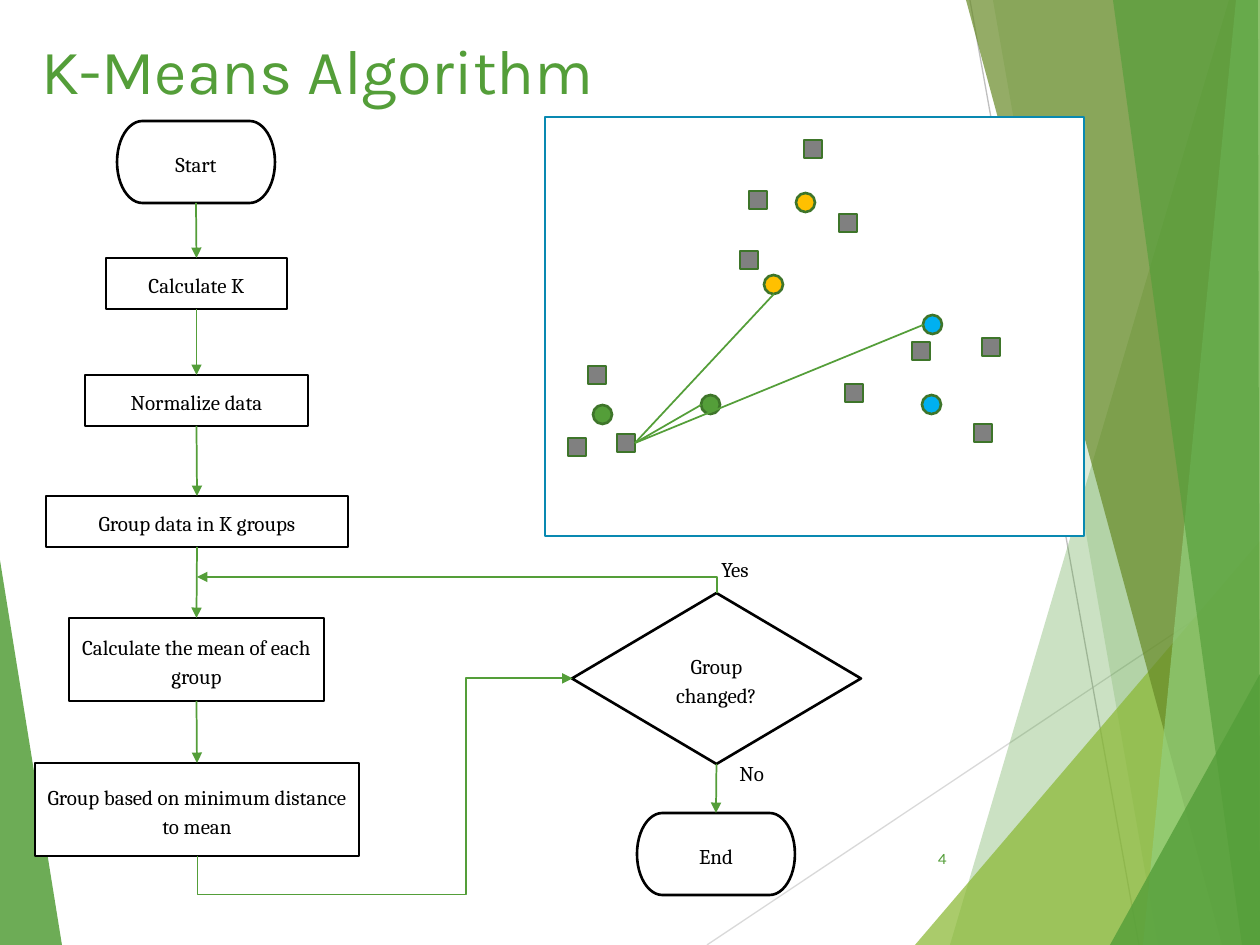
import pptx
import pptx.util
import pptx.dml.color
import pptx.enum.shapes
import pptx.enum.text
import pptx.oxml
import pptx.oxml.ns
import lxml.etree

PX = 7257
THEME = {
    "green": "549E39", "lime": "8AB833", "olive": "678A26", "mint": "93D07D",
    "pale": "D9D9D9", "silver": "BFBFBF", "black": "000000", "white": "FFFFFF",
    "teal": "0989B1", "gray": "808080", "moss": "3E752A", "gold": "FFC000",
    "sky": "00B0F0", "head": "Karla", "body": "Cambria",
    "title": 36, "text": 12, "page": 9, "edge": 1.5, "arrow": 1, "thin": 0.75,
}
RGB = pptx.dml.color.RGBColor.from_string
KIND = pptx.enum.shapes.MSO_SHAPE
WIRE = pptx.enum.shapes.MSO_CONNECTOR
ALIGN = pptx.enum.text.PP_ALIGN
ANCHOR = pptx.enum.text.MSO_ANCHOR
qn = pptx.oxml.ns.qn

deck = pptx.Presentation()
deck.slide_width = pptx.util.Inches(10)
deck.slide_height = pptx.util.Inches(7.5)
slide = deck.slides.add_slide(deck.slide_layouts[6])
shapes = slide.shapes


def write(frame, text, size, font, color, align, spaced):
    para = frame.paragraphs[0]
    para.alignment = align
    if spaced:
        para.line_spacing = 1.15
        para.space_after = pptx.util.Pt(10)
    run = para.add_run()
    run.text = text
    run.font.size = pptx.util.Pt(THEME[size])
    run.font.name = THEME[font]
    run.font.color.rgb = RGB(THEME[color])


def link(kind, ends, color, width, arrow):
    wire = shapes.add_connector(kind, *[n * PX for n in ends])
    wire.line.color.rgb = RGB(THEME[color])
    wire.line.width = pptx.util.Pt(THEME[width])
    if arrow:
        lxml.etree.SubElement(wire.line._get_or_add_ln(), qn("a:tailEnd"), type="triangle")
    lxml.etree.SubElement(wire._element.spPr, qn("a:effectLst"))
    return wire


link(WIRE.STRAIGHT, (707, 945, 1260, 576), "pale", "thin", False)
link(WIRE.STRAIGHT, (970, 0, 1139, 945), "silver", "thin", False)

facets = [
    ("green", 85, [(0, 560), (62, 945), (0, 945)]),
    ("green", 30, [(1229, 0), (950, 945), (1260, 945), (1260, 0)]),
    ("green", 20, [(993, 0), (1158, 945), (1260, 945), (1260, 0)]),
    ("lime", 72, [(915, 945), (1260, 541), (1260, 945)]),
    ("olive", 70, [(966, 0), (1222, 945), (1260, 945), (1260, 0)]),
    ("mint", 70, [(1236, 0), (1143, 945), (1260, 945), (1260, 0)]),
    ("green", 65, [(1113, 0), (1242, 945), (1260, 945), (1258, 0)]),
    ("green", 80, [(1110, 945), (1260, 674), (1260, 945)]),
]
for color, alpha, points in facets:
    pen = shapes.build_freeform(*points[0], scale=PX)
    pen.add_line_segments(points[1:], close=True)
    facet = pen.convert_to_shape()
    facet.shadow.inherit = False
    facet.fill.solid()
    facet.fill.fore_color.rgb = RGB(THEME[color])
    facet.line.fill.background()
    tint = facet._element.spPr.find(qn("a:solidFill"))[0]
    lxml.etree.SubElement(tint, qn("a:alpha"), val=str(alpha * 1000))

labels = [
    ("K-Means Algorithm", (29, 21, 874, 96), "title", "head", "green", ALIGN.LEFT, True),
    ("4", (888, 833, 71, 50), "page", "head", "green", ALIGN.RIGHT, True),
    ("Yes", (709, 547, 69, 62), "text", "body", "black", ALIGN.LEFT, False),
    ("No", (727, 751, 62, 62), "text", "body", "black", ALIGN.LEFT, False),
]
for text, box, size, font, color, align, wrap in labels:
    frame = shapes.add_textbox(*[n * PX for n in box]).text_frame
    frame.word_wrap = wrap
    frame.vertical_anchor = ANCHOR.MIDDLE if wrap else ANCHOR.TOP
    write(frame, text, size, font, color, align, not wrap)

RECT, CAP, RHOMB = KIND.RECTANGLE, KIND.FLOWCHART_TERMINATOR, KIND.FLOWCHART_DECISION
steps = [
    (CAP, (117, 121, 158, 82), "Start"),
    (RECT, (106, 258, 181, 51), "Calculate K"),
    (RECT, (85, 375, 223, 51), "Normalize data"),
    (RECT, (46, 496, 302, 51), "Group data in K groups"),
    (RECT, (69, 618, 255, 83), "Calculate the mean of each group"),
    (RECT, (35, 763, 324, 93), "Group based on minimum distance to mean"),
    (RHOMB, (572, 593, 289, 171), "Group changed?"),
    (CAP, (637, 813, 158, 82), "End"),
]
squares = [
    (617, 434), (568, 438), (588, 366), (845, 384), (912, 342), (982, 338),
    (974, 424), (804, 140), (749, 191), (839, 214), (740, 251),
]
means = [
    (701, 395, "green"), (593, 405, "green"), (764, 275, "gold"),
    (796, 193, "gold"), (923, 315, "sky"), (922, 395, "sky"),
]
items = [(kind, box, "white", "black", text) for kind, box, text in steps]
items += [(RECT, (545, 117, 539, 419), "white", "teal", "")]
items += [(RECT, (x, y, 18, 18), "gray", "moss", "") for x, y in squares]
items += [(KIND.OVAL, (x, y, 19, 19), fill, "moss", "") for x, y, fill in means]

drawn = []
for kind, box, fill, edge, text in items:
    shape = shapes.add_shape(kind, *[n * PX for n in box])
    shape.shadow.inherit = False
    shape.fill.solid()
    shape.fill.fore_color.rgb = RGB(THEME[fill])
    shape.line.color.rgb = RGB(THEME[edge])
    shape.line.width = pptx.util.Pt(THEME["edge"])
    if text:
        shape.text_frame.word_wrap = True
        shape.text_frame.vertical_anchor = ANCHOR.MIDDLE
        write(shape.text_frame, text, "text", "body", "black", ALIGN.CENTER, True)
    drawn.append(shape)

flow = drawn[:len(steps)]
source = drawn[len(steps) + 1]
test, end = flow[6:]
for upper, lower in [*zip(flow[:5], flow[1:6]), (test, end)]:
    wire = link(WIRE.STRAIGHT, (0, 0, 0, 0), "green", "arrow", True)
    wire.begin_connect(upper, 2)
    wire.end_connect(lower, 0)

for x, y in [(701, 405), (774, 294), (923, 325)]:
    wire = link(WIRE.STRAIGHT, (635, 443, x, y), "green", "arrow", False)
    wire.begin_connect(source, 3)

bends = [
    (flow[5], 2, test, "bentConnector4", (296, 580, 178, 375),
     {"rot": "5400000", "flipH": "1", "flipV": "1"}, {"adj1": -21500, "adj2": 71500}),
    (test, 0, None, "bentConnector2", (449, 325, 16, 520),
     {"rot": "16200000", "flipH": "0", "flipV": "1"}, {}),
]
for first, site, last, preset, box, turn, bend in bends:
    wire = link(WIRE.ELBOW, (0, 0, 0, 0), "green", "arrow", True)
    wire.begin_connect(first, site)
    if last:
        wire.end_connect(last, 1)
    wire.left, wire.top, wire.width, wire.height = [n * PX for n in box]
    props = wire._element.spPr
    for key, value in turn.items():
        props.find(qn("a:xfrm")).set(key, value)
    geom = props.find(qn("a:prstGeom"))
    geom.set("prst", preset)
    guides = geom.find(qn("a:avLst"))
    for name, value in bend.items():
        lxml.etree.SubElement(guides, qn("a:gd"), name=name, fmla=f"val {value}")

deck.save("out.pptx")
